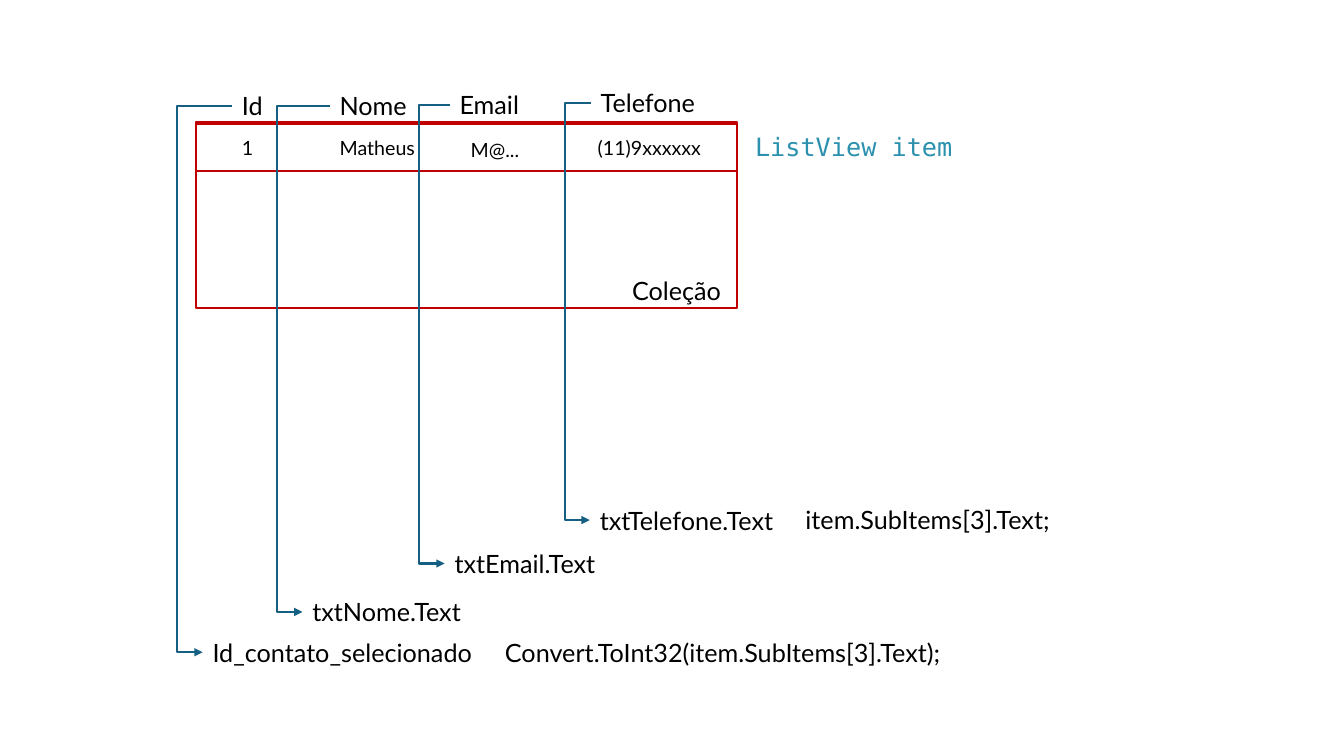
import pptx
import pptx.dml.color
import pptx.enum.shapes
import pptx.enum.text
import pptx.util
from lxml import etree
from pptx.oxml.ns import qn

Inches = pptx.util.Inches
Pt = pptx.util.Pt
RGB = pptx.dml.color.RGBColor.from_string

THEME = {
    "frame": RGB("C00000"),
    "arrow": RGB("156082"),
    "line": Pt(1.5),
    "label": {"size": Pt(18), "name": "Lato", "color": RGB("000000")},
    "value": {"size": Pt(14), "name": "Lato", "color": RGB("000000")},
    "code": {"size": Pt(18), "name": "DejaVu Sans Mono", "color": RGB("2B91AF")},
}

deck = pptx.Presentation()
deck.slide_width, deck.slide_height = Inches(13.33), Inches(7.5)
page = deck.slides.add_slide(deck.slide_layouts[6])


def add_text(text, left, top, width, style="label"):
    height = 0.34 if style == "value" else 0.4
    box = page.shapes.add_textbox(Inches(left), Inches(top), Inches(width), Inches(height))
    box.text_frame.word_wrap = True
    box.text_frame.auto_size = pptx.enum.text.MSO_AUTO_SIZE.SHAPE_TO_FIT_TEXT
    span = box.text_frame.paragraphs[0].add_run()
    span.text = text
    for key, setting in THEME[style].items():
        if key == "color":
            span.font.color.rgb = setting
        else:
            setattr(span.font, key, setting)


def add_mapping_arrow(start_x, start_y, end_x, end_y, bend_x):
    """Draw an elbow arrow that runs left to bend_x, down, and back right."""
    arrow = page.shapes.add_connector(
        pptx.enum.shapes.MSO_CONNECTOR.ELBOW,
        Inches(start_x), Inches(start_y), Inches(end_x), Inches(end_y))
    arrow.line.color.rgb = THEME["arrow"]
    arrow.line.width = THEME["line"]
    properties = arrow._element.spPr
    # A half turn with a vertical flip sends the elbow leftwards
    transform = properties.find(qn("a:xfrm"))
    transform.attrib.pop("flipH", None)
    transform.set("rot", "10800000")
    transform.set("flipV", "1")
    bend = round((start_x - bend_x) / (start_x - end_x) * 100000)
    guides = properties.find(qn("a:prstGeom")).get_or_add_avLst()
    etree.SubElement(guides, qn("a:gd"), name="adj1", fmla=f"val {bend}")
    etree.SubElement(arrow.line._get_or_add_ln(), qn("a:tailEnd"), type="triangle")
    etree.SubElement(properties, qn("a:effectLst"))


# Collection frame and its first row
for top, height in [(1.21, 0.49), (1.23, 1.83)]:
    frame = page.shapes.add_shape(
        pptx.enum.shapes.MSO_SHAPE.RECTANGLE,
        Inches(1.94), Inches(top), Inches(5.37), Inches(height))
    frame.shadow.inherit = False
    frame.fill.background()
    frame.line.color.rgb = THEME["frame"]
    frame.line.width = THEME["line"]

# Row values: text, left, top, width
for value in [
    ("1", 2.3, 1.3, 0.55),
    ("Matheus", 3.27, 1.3, 1.33),
    ("M@...", 4.57, 1.32, 1.33),
    ("(11)9xxxxxx", 5.83, 1.3, 1.48),
]:
    add_text(*value, style="value")

# Each column: heading, left, top, width, then target, left, top, and the bend
columns = [
    ("Id", 2.3, 0.85, 0.55, "Id_contato_selecionado", 2.01, 6.27, 1.76),
    ("Nome", 3.27, 0.85, 0.97, "txtNome.Text", 3, 5.87, 2.75),
    ("Email", 4.46, 0.84, 0.97, "txtEmail.Text", 4.41, 5.39, 4.16),
    ("Telefone", 5.86, 0.82, 1.26, "txtTelefone.Text", 5.85, 4.96, 5.6),
]
for heading, left, top, width, target, target_left, target_top, bend_x in columns:
    add_text(heading, left, top, width)
    add_text(target, target_left, target_top, 3.51)
    add_mapping_arrow(left, top + 0.2, target_left, target_top + 0.2, bend_x)

# Names of the row and the collection
add_text("ListView item", 7.39, 1.25, 3.08, style="code")
add_text("Coleção", 6.17, 2.68, 1.72)

# Source expressions
add_text("item.SubItems[3].Text;", 7.89, 4.95, 3.51)
add_text("Convert.ToInt32(item.SubItems[3].Text);", 4.91, 6.27, 4.96)

deck.save("out.pptx")
